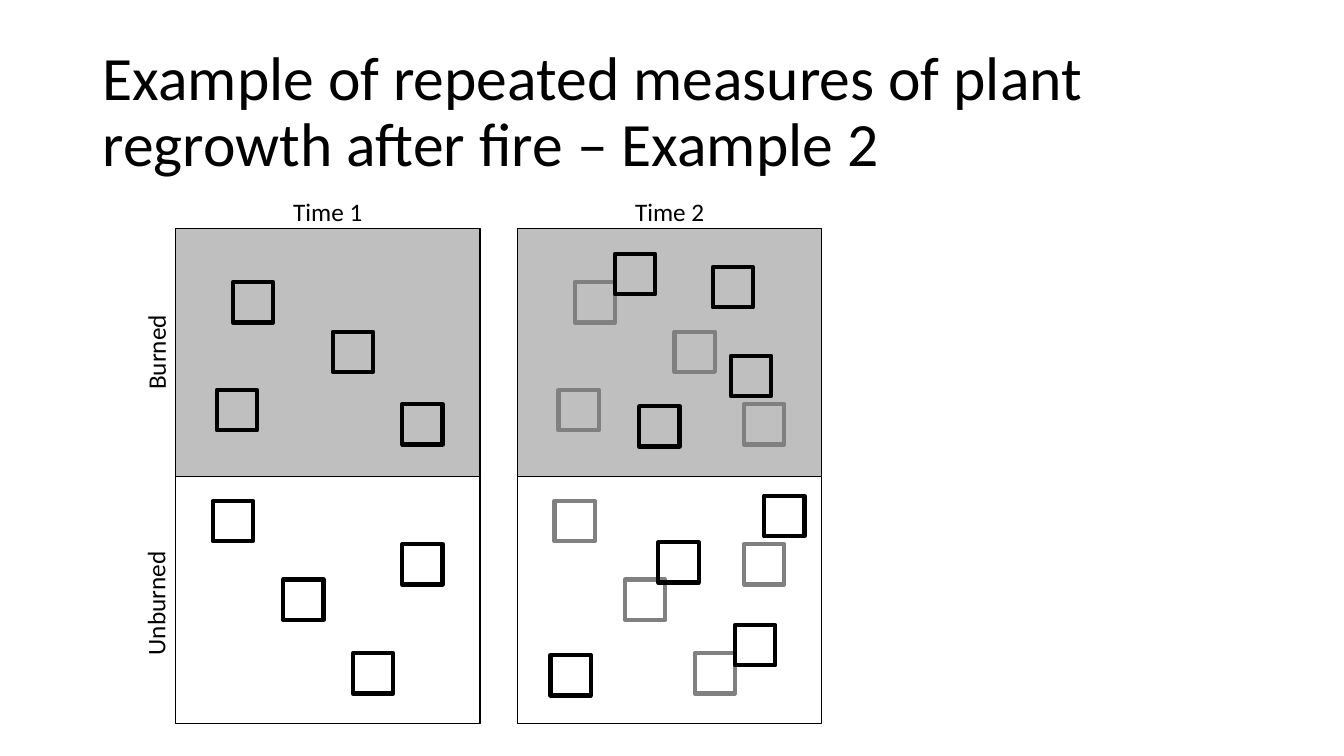
"""Build a slide comparing re-randomised plots in burned and unburned areas at two times."""
from dataclasses import dataclass

import pptx
import pptx.dml.color
import pptx.enum.shapes
import pptx.enum.text
import pptx.slide
import pptx.util

Inches = pptx.util.Inches
BLACK, GRAY, SILVER, WHITE = "000000", "808080", "BFBFBF", "FFFFFF"
FONT = "Calibri"

PANEL_LEFT, PANEL_TOP = 1.74, 2.27
PANEL_WIDTH, PANEL_HEIGHT = 3.02, 2.455
TIME_STEP = 3.39
PLOT_SIZE = 0.4


@dataclass(frozen=True)
class Plot:
    """Top left corner of a sampling plot, in inches."""
    left: float
    top: float


@dataclass(frozen=True)
class Treatment:
    """A row of panels with its rotated label."""
    name: str
    fill: str
    label_left: float
    label_top: float
    label_width: float


TREATMENTS = [
    Treatment("Burned", SILVER, 1.07, 3.29, 0.95),
    Treatment("Unburned", WHITE, 0.92, 5.78, 1.24),
]
FIRST_PLOTS = [
    Plot(2.31, 2.8), Plot(3.3, 3.29), Plot(2.15, 3.87), Plot(3.99, 4.01),
    Plot(2.11, 4.97), Plot(3.99, 5.4), Plot(2.81, 5.75), Plot(3.5, 6.48),
]
SECOND_PLOTS = [
    Plot(6.1, 2.52), Plot(7.07, 2.65), Plot(6.34, 4.03), Plot(7.25, 3.53),
    Plot(5.46, 6.5), Plot(7.58, 4.92), Plot(6.53, 5.38), Plot(7.29, 6.2),
]


def color(value: str) -> pptx.dml.color.RGBColor:
    """Turn a hex string into a colour."""
    return pptx.dml.color.RGBColor.from_string(value)


def add_text(slide: pptx.slide.Slide, text: str, left: float, top: float, width: float,
             height: float = 0.4, *, size: float = 18, rotation: float = 0,
             wrap: bool = False, middle: bool = False, line_spacing: float = 1.0) -> None:
    """Add a text box with one formatted paragraph."""
    shape = slide.shapes.add_textbox(Inches(left), Inches(top), Inches(width), Inches(height))
    shape.rotation = rotation
    frame = shape.text_frame
    frame.word_wrap = wrap
    anchors = pptx.enum.text.MSO_ANCHOR
    frame.vertical_anchor = anchors.MIDDLE if middle else anchors.TOP
    paragraph = frame.paragraphs[0]
    paragraph.line_spacing = line_spacing
    run = paragraph.add_run()
    run.text = text
    run.font.name = FONT
    run.font.size = pptx.util.Pt(size)
    run.font.color.rgb = color(BLACK)


def add_rectangle(slide: pptx.slide.Slide, left: float, top: float, width: float, height: float,
                  line: str, weight: float, fill: str | None = None) -> None:
    """Add an outlined rectangle, filled only when a fill is given."""
    shape = slide.shapes.add_shape(pptx.enum.shapes.MSO_SHAPE.RECTANGLE, Inches(left),
                                   Inches(top), Inches(width), Inches(height))
    shape.shadow.inherit = False
    if fill is None:
        shape.fill.background()
    else:
        shape.fill.solid()
        shape.fill.fore_color.rgb = color(fill)
    shape.line.color.rgb = color(line)
    shape.line.width = pptx.util.Pt(weight)


def add_plots(slide: pptx.slide.Slide, plots: list[Plot], line: str, shift: float = 0) -> None:
    """Draw sampling plots, moved right by the shift."""
    for plot in plots:
        add_rectangle(slide, plot.left + shift, plot.top, PLOT_SIZE, PLOT_SIZE, line, 3)


def add_time(slide: pptx.slide.Slide, name: str, shift: float) -> None:
    """Draw the stacked panels and the heading of one sampling time."""
    for row, treatment in enumerate(TREATMENTS):
        add_rectangle(slide, PANEL_LEFT + shift, PANEL_TOP + row * PANEL_HEIGHT,
                      PANEL_WIDTH, PANEL_HEIGHT, BLACK, 1, treatment.fill)
    add_text(slide, name, 2.81 + shift, 1.9, 0.9)


def main() -> None:
    """Create and save the presentation."""
    presentation = pptx.Presentation()
    presentation.slide_width = Inches(13.33)
    presentation.slide_height = Inches(7.5)
    slide = presentation.slides.add_slide(presentation.slide_layouts[6])

    add_text(slide, "Example of repeated measures of plant regrowth after fire – Example 2",
             0.92, 0.4, 11.5, 1.45, size=44, wrap=True, middle=True, line_spacing=0.9)
    for treatment in TREATMENTS:
        add_text(slide, treatment.name, treatment.label_left, treatment.label_top,
                 treatment.label_width, rotation=270)

    add_time(slide, "Time 1", 0)
    add_plots(slide, FIRST_PLOTS, BLACK)
    add_time(slide, "Time 2", TIME_STEP)
    add_plots(slide, FIRST_PLOTS, GRAY, TIME_STEP)
    add_plots(slide, SECOND_PLOTS, BLACK)

    presentation.save("out.pptx")


if __name__ == "__main__":
    main()
